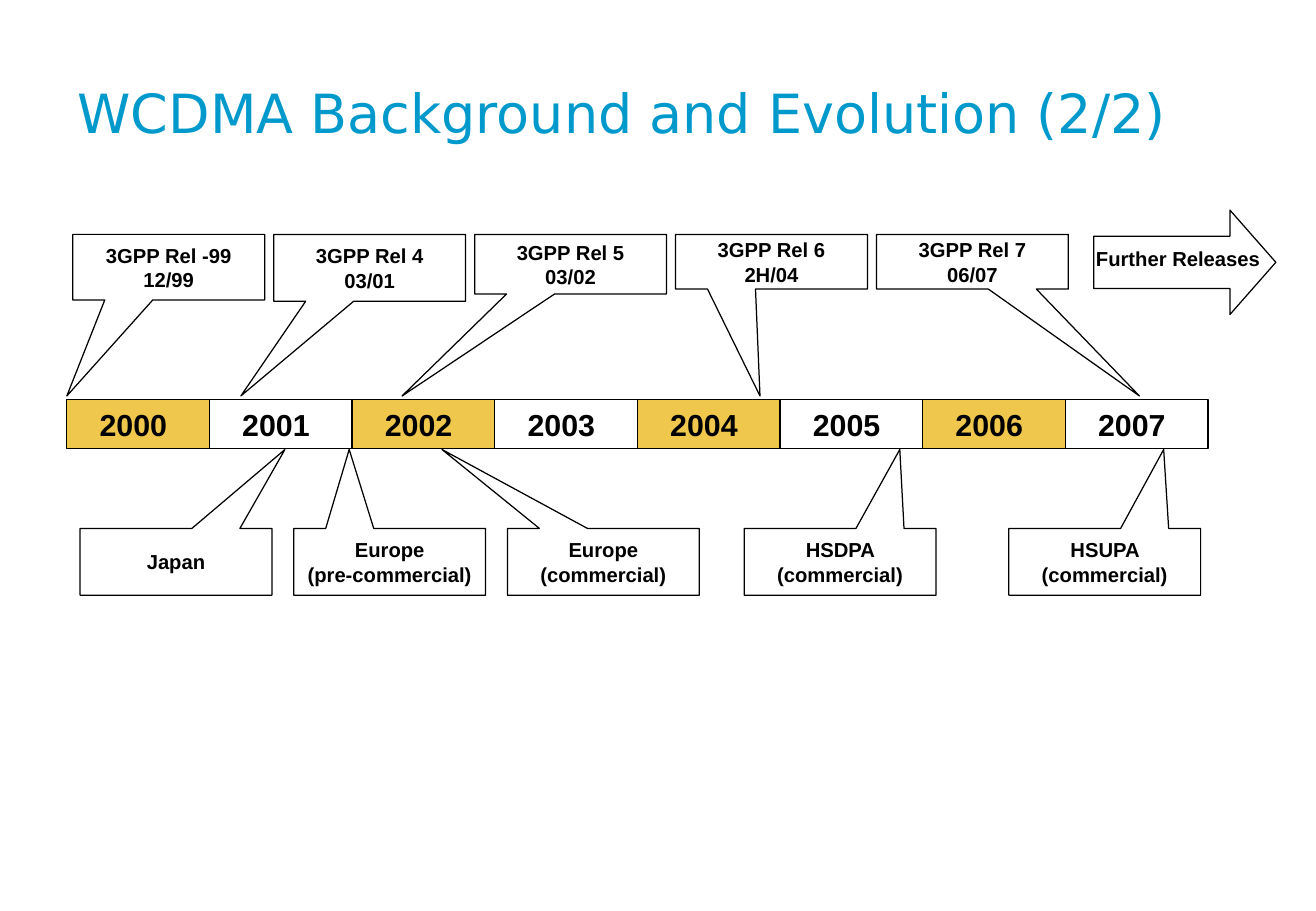
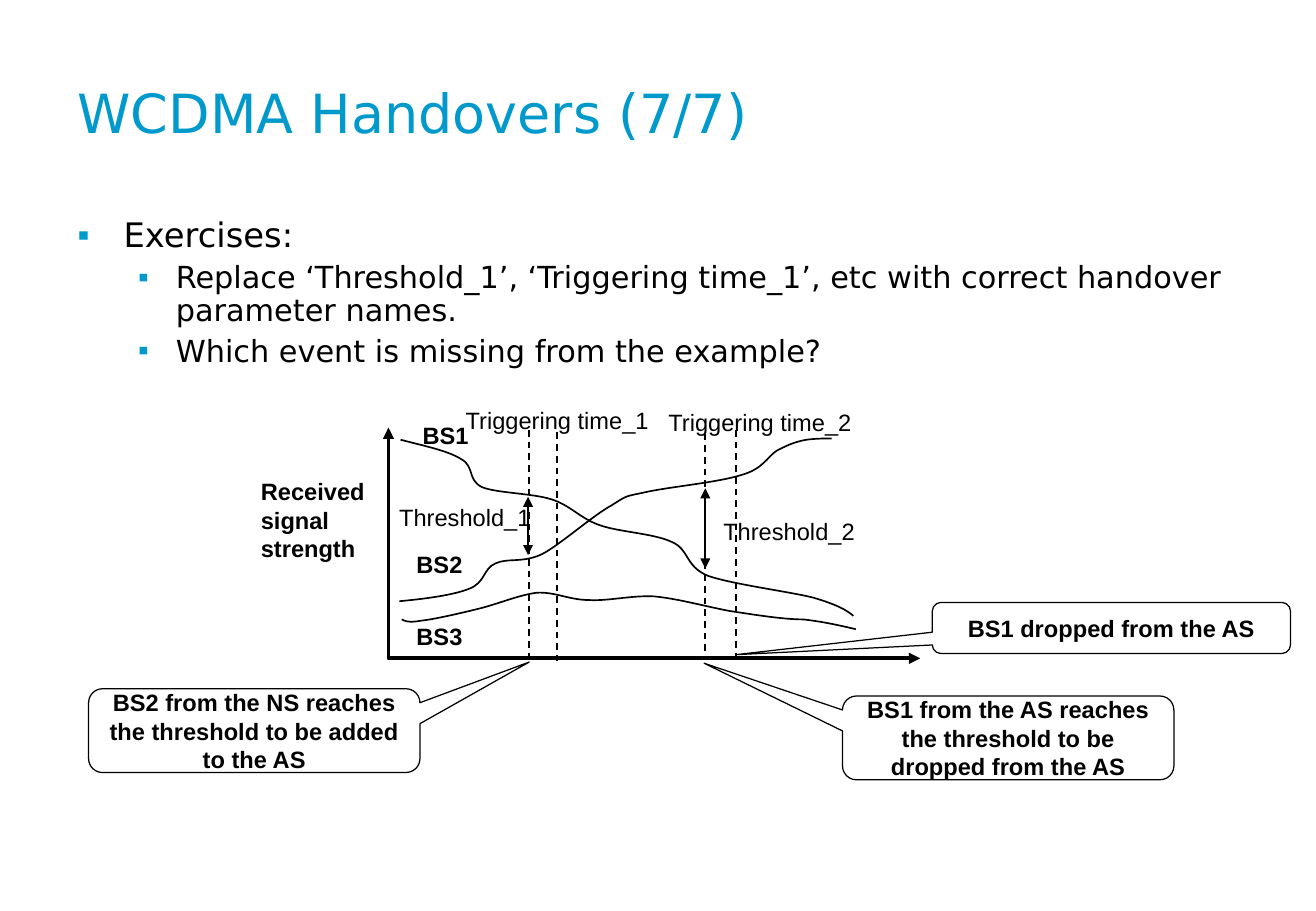
from dataclasses import dataclass

from lxml import etree
from pptx import Presentation
from pptx.dml.color import RGBColor
from pptx.enum.dml import MSO_LINE
from pptx.enum.shapes import MSO_CONNECTOR, MSO_SHAPE
from pptx.enum.text import MSO_ANCHOR, PP_ALIGN
from pptx.oxml.ns import qn
from pptx.util import Emu, Pt

RECTANGLE = MSO_SHAPE.RECTANGLE
RIGHT_ARROW = MSO_SHAPE.RIGHT_ARROW
SQUARE_CALLOUT = MSO_SHAPE.RECTANGULAR_CALLOUT
ROUND_CALLOUT = MSO_SHAPE.ROUNDED_RECTANGULAR_CALLOUT
STRAIGHT = MSO_CONNECTOR.STRAIGHT
DASH = MSO_LINE.DASH
LEFT, CENTER = PP_ALIGN.LEFT, PP_ALIGN.CENTER
TOP, MIDDLE = MSO_ANCHOR.TOP, MSO_ANCHOR.MIDDLE

UNIT = 9144
COLUMNS, ROWS = 1084, 750
BLACK, WHITE, BLUE, GOLD = "000000", "FFFFFF", "0099CC", "EEC74C"
HEADING_FONT, LABEL_FONT = "DejaVu Sans", "Arial"

RELEASES = [
    ("3GPP Rel -99", "12/99", 54, 0),
    ("3GPP Rel 4", "03/01", 55, 1.22),
    ("3GPP Rel 5", "03/02", 49, 2.35),
    ("3GPP Rel 6", "2H/04", 45, 4.86),
    ("3GPP Rel 7", "06/07", 45, 7.52),
]
LAUNCHES = [
    (["Japan"], 11, 1.53),
    (["Europe", "(pre-commercial)"], 187, 1.98),
    (["Europe", "(commercial)"], 363, 2.63),
    (["HSDPA (commercial)"], 558, 5.84),
    (["HSUPA (commercial)"], 776, 7.69),
]
EXERCISES = [
    (0, "Exercises:"),
    (1, "Replace ‘Threshold_1’, ‘Triggering time_1’, etc with correct handover parameter names."),
    (1, "Which event is missing from the example?"),
]
BULLET_LEVELS = [(20, 38, 38, 5), (18, 81, 31, 4.5)]
SIGNALS = [
    [(10, 10), (29, 15), (49, 19), (60, 26), (71, 32), (65, 43), (77, 49),
     (89, 54), (118, 54), (134, 59), (150, 64), (157, 74), (173, 80),
     (189, 86), (218, 87), (233, 94), (248, 100), (244, 114), (263, 122),
     (283, 129), (330, 135), (350, 140), (370, 146), (377, 150), (383, 155)],
    [(9, 143), (31, 141), (53, 138), (66, 133), (80, 128), (78, 116), (88, 112),
     (98, 107), (111, 112), (127, 104), (142, 96), (169, 72), (184, 64),
     (198, 55), (195, 57), (213, 53), (231, 49), (273, 45), (291, 39),
     (309, 34), (312, 24), (320, 19), (328, 15), (332, 13), (340, 11),
     (347, 9), (361, 9), (365, 9)],
    [(11, 158), (13, 159), (16, 161), (27, 159), (37, 158), (59, 153), (75, 149),
     (91, 145), (107, 138), (122, 136), (137, 135), (149, 142), (165, 142),
     (181, 143), (200, 138), (219, 139), (239, 141), (260, 147), (281, 151),
     (301, 154), (325, 158), (342, 158), (359, 160), (372, 163), (385, 166)],
]
PLOT_LABELS = [
    (["Received", "signal", "strength"], (-115, 36, 111, 80), True, LEFT),
    (["BS1"], (18, -10, 58, 33), True, CENTER),
    (["BS2"], (13, 96, 58, 33), True, CENTER),
    (["BS3"], (13, 155, 58, 33), True, CENTER),
    (["Threshold_1"], (-7, 57, 140, 33), False, CENTER),
    (["Threshold_2"], (260, 69, 140, 33), False, CENTER),
    (["Triggering time_1"], (48, -23, 182, 33), False, CENTER),
    (["Triggering time_2"], (215, -21, 182, 33), False, CENTER),
]
TRIGGERS = [(116, 2, 194), (139, 4, 192), (261, 5, 191), (286, 2, 190)]
THRESHOLDS = [(115, 57, 105), (261, 50, 116)]
EVENTS = [
    ("BS2 from the NS reaches the threshold to be added to the AS",
     (-247, 215, 273, 69), (116, 193)),
    ("BS1 from the AS reaches the threshold to be dropped from the AS",
     (374, 221, 273, 69), (260, 194)),
    ("BS1 dropped from the AS", (448, 144, 295, 42), (286, 187)),
]


@dataclass
class Box:
    left: float
    top: float
    width: float
    height: float

    def inner(self, left, top, width, height):
        return Box(self.left + left, self.top + top, width, height)

    def point(self, column, row):
        return self.left + column, self.top + row

    def lengths(self):
        return [Emu(round(n * UNIT)) for n in (self.left, self.top, self.width, self.height)]


PAGE = Box(0, 0, COLUMNS, ROWS)


def color(code):
    return RGBColor.from_string(code)


def set_font(para, size, code=BLACK, bold=False, name=LABEL_FONT):
    para.font.name = name
    para.font.size = Pt(size)
    para.font.bold = bold
    para.font.color.rgb = color(code)


def write(shape, lines, size, code=BLACK, bold=True, name=LABEL_FONT,
          align=CENTER, anchor=MIDDLE, wrap=True):
    frame = shape.text_frame
    frame.word_wrap = wrap
    frame.vertical_anchor = anchor
    frame.text = "\n".join(lines)
    for para in frame.paragraphs:
        para.alignment = align
        set_font(para, size, code, bold, name)


def add_text(page, box, lines, size, **style):
    write(page.shapes.add_textbox(*box.lengths()), lines, size, **style)


def set_line(shape, width):
    shape.line.color.rgb = color(BLACK)
    shape.line.width = Pt(width)


def add_arrowheads(shape):
    line = next(shape.element.iter(qn("a:ln")))
    for end in ("a:headEnd", "a:tailEnd"):
        etree.SubElement(line, qn(end), type="triangle")


def add_outline(page, kind, box, fill=None):
    shape = page.shapes.add_shape(kind, *box.lengths())
    shape.shadow.inherit = False
    if fill:
        shape.fill.solid()
        shape.fill.fore_color.rgb = color(fill)
    else:
        shape.fill.background()
    set_line(shape, 0.75)
    return shape


def add_callout(page, kind, box, tip, lines, size):
    shape = add_outline(page, kind, box)
    shape.adjustments[0] = (tip[0] - box.left) / box.width - 0.5
    shape.adjustments[1] = (tip[1] - box.top) / box.height - 0.5
    write(shape, lines, size)


def add_vertical(page, box, column, top, bottom):
    ends = box.point(column, top) + box.point(column, bottom)
    shape = page.shapes.add_connector(STRAIGHT, *[Emu(round(n * UNIT)) for n in ends])
    set_line(shape, 1)
    etree.SubElement(shape.element.spPr, qn("a:effectLst"))
    return shape


def add_open_line(page, box, points, width):
    start, *rest = [box.point(*point) for point in points]
    builder = page.shapes.build_freeform(*start, scale=UNIT)
    builder.add_line_segments(rest, close=False)
    shape = builder.convert_to_shape()
    shape.shadow.inherit = False
    shape.fill.background()
    set_line(shape, width)
    return shape


def bend(shape):
    segments = list(shape.element.iter(qn("a:lnTo")))
    for first in range(0, len(segments), 3):
        trio = segments[first:first + 3]
        curve = etree.Element(qn("a:cubicBezTo"))
        trio[0].addprevious(curve)
        for segment in trio:
            curve.append(segment[0])
            segment.getparent().remove(segment)


def add_page(deck, title):
    page = deck.slides.add_slide(deck.slide_layouts[6])
    add_text(page, PAGE.inner(54, 30, 975, 125), [title], 32, code=BLUE,
             bold=False, name=HEADING_FONT, align=LEFT)
    return page


def add_years(page, box, years):
    step = box.width / len(years)
    for index, year in enumerate(years):
        cell = box.inner(index * step, 0, step, box.height)
        shape = add_outline(page, RECTANGLE, cell, WHITE if index % 2 else GOLD)
        shape.text_frame.margin_left = Emu(27 * UNIT)
        write(shape, [str(year)], 18, align=LEFT)
    return step


def add_releases(page, box, timeline, step):
    for index, (name, date, height, year) in enumerate(RELEASES):
        add_callout(page, SQUARE_CALLOUT, box.inner(index * 165.5, 0, 158, height),
                    timeline.point(year * step, -3), [name, date], 12)
    arrow = add_outline(page, RIGHT_ARROW, box.inner(841, -20, 150, 86))
    arrow.adjustments[1] = 0.44
    add_text(page, box.inner(833, 5, 164, 30), ["Further Releases"], 12,
             align=LEFT, anchor=TOP)


def add_launches(page, box, timeline, step):
    for lines, left, year in LAUNCHES:
        add_callout(page, SQUARE_CALLOUT, box.inner(left, 0, 158, 55),
                    timeline.point(year * step, timeline.height + 1), lines, 12)


def add_exercises(page, box):
    frame = page.shapes.add_textbox(*box.lengths()).text_frame
    frame.word_wrap = True
    frame.text = "\n".join(text for _, text in EXERCISES)
    for para, (level, _) in zip(frame.paragraphs, EXERCISES):
        size, margin, hanging, before = BULLET_LEVELS[level]
        para.level = level
        para.line_spacing = 0.9
        para.space_before = Pt(before)
        properties = para._p.get_or_add_pPr()
        properties.set("marL", str(margin * UNIT))
        properties.set("indent", str(-hanging * UNIT))
        tint = etree.SubElement(properties, qn("a:buClr"))
        etree.SubElement(tint, qn("a:srgbClr"), val=BLUE)
        etree.SubElement(properties, qn("a:buFont"), typeface=LABEL_FONT)
        etree.SubElement(properties, qn("a:buChar"), char="▪")
        set_font(para, size, name=HEADING_FONT)


def add_signal_plot(page, box):
    corners = [(0, 0), (0, box.height), (box.width, box.height)]
    add_arrowheads(add_open_line(page, box, corners, 2.25))
    for points in SIGNALS:
        bend(add_open_line(page, box, points, 1))
    for trigger in TRIGGERS:
        add_vertical(page, box, *trigger).line.dash_style = DASH
    for threshold in THRESHOLDS:
        add_arrowheads(add_vertical(page, box, *threshold))
    for lines, place, bold, align in PLOT_LABELS:
        add_text(page, box.inner(*place), lines, 14, bold=bold, align=align, wrap=False)
    for text, place, tip in EVENTS:
        add_callout(page, ROUND_CALLOUT, box.inner(*place), box.point(*tip), [text], 14)


def add_evolution_page(deck):
    page = add_page(deck, "WCDMA Background and Evolution (2/2)")
    timeline = PAGE.inner(55, 329, 940, 40)
    step = add_years(page, timeline, range(2000, 2008))
    add_releases(page, PAGE.inner(60, 193, 997, 55), timeline, step)
    add_launches(page, PAGE.inner(55, 435, 940, 55), timeline, step)


def add_handover_page(deck):
    page = add_page(deck, "WCDMA Handovers (7/7)")
    add_exercises(page, PAGE.inner(54, 175, 975, 140))
    add_signal_plot(page, PAGE.inner(320, 352, 438, 190))


def main():
    deck = Presentation()
    deck.slide_width, deck.slide_height = PAGE.lengths()[2:]
    add_evolution_page(deck)
    add_handover_page(deck)
    deck.save("out.pptx")


if __name__ == "__main__":
    main()
